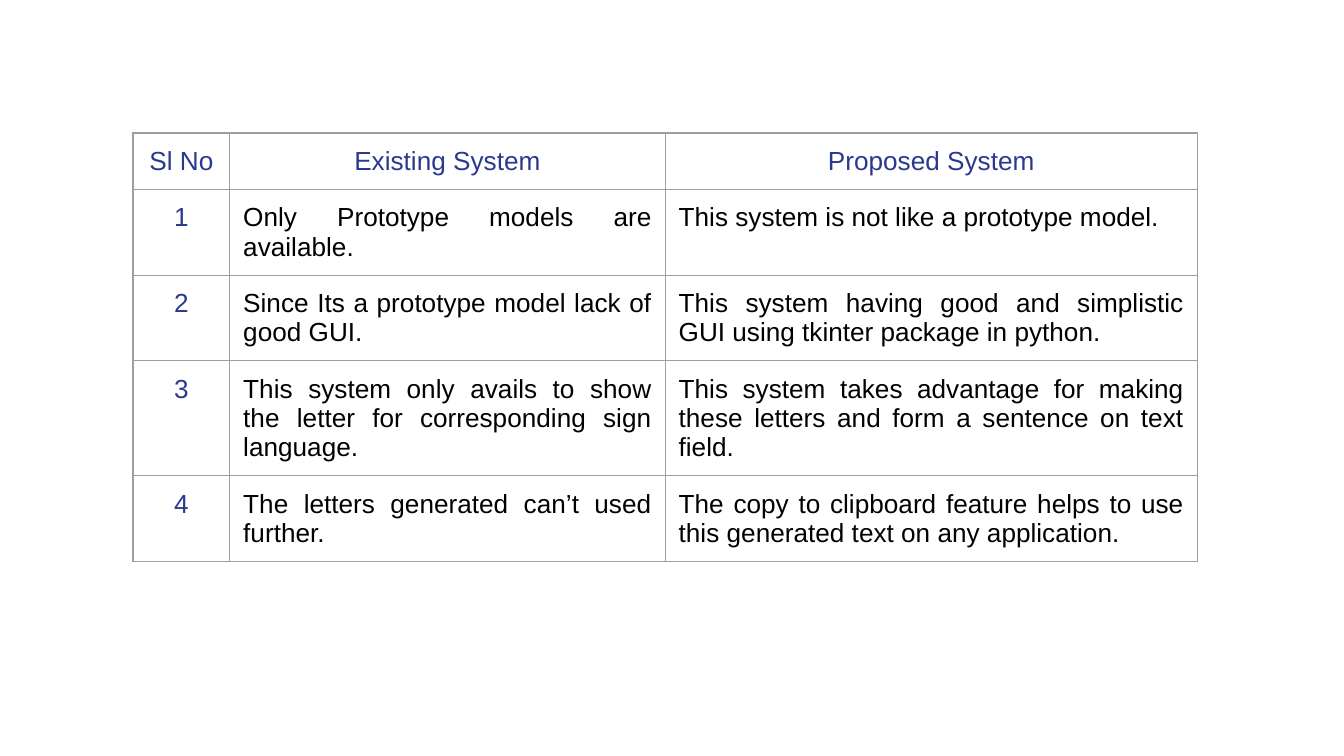
from dataclasses import dataclass

from lxml.etree import SubElement
from pptx import Presentation
from pptx.dml.color import RGBColor
from pptx.enum.text import PP_ALIGN
from pptx.oxml.ns import qn
from pptx.util import Inches, Pt


@dataclass(frozen=True)
class Theme:
    font: str = "Arial"
    size: int = 14
    accent: str = "2A3990"
    body: str = "000000"
    border: str = "9E9E9E"
    border_width: float = 0.75
    padding: float = 0.1


THEME = Theme()
SLIDE_WIDTH = 10
SLIDE_HEIGHT = SLIDE_WIDTH * 9 / 16  # widescreen
COLUMN_WIDTHS = [0.72, 3.24, 3.96]
ROW_HEIGHT = 0.42

HEADER = ("Sl No", "Existing System", "Proposed System")
COMPARISONS = [
    ("Only Prototype models are available.",
     "This system is not like a prototype model."),
    ("Since Its a prototype model lack of good GUI.",
     "This system having good and simplistic GUI using tkinter package in python."),
    ("This system only avails to show the letter for corresponding sign language.",
     "This system takes advantage for making these letters and form a sentence on text field."),
    ("The letters generated can’t used further.",
     "The copy to clipboard feature helps to use this generated text on any application."),
]


def set_borders(cell):
    """Draw a thin line on all four sides; lines must come before the fill."""
    properties = cell._tc.get_or_add_tcPr()
    for index, side in enumerate(("lnL", "lnR", "lnT", "lnB")):
        line = SubElement(properties, qn(f"a:{side}"), w=str(Pt(THEME.border_width)))
        fill = SubElement(line, qn("a:solidFill"))
        SubElement(fill, qn("a:srgbClr"), val=THEME.border)
        properties.insert(index, line)


def format_cell(cell, text, color, alignment):
    for side in ("left", "right", "top", "bottom"):
        setattr(cell, f"margin_{side}", Inches(THEME.padding))
    cell.fill.background()
    set_borders(cell)

    cell.text = text
    paragraph = cell.text_frame.paragraphs[0]
    paragraph.alignment = alignment
    font = paragraph.runs[0].font
    font_format = {"name": THEME.font, "size": Pt(THEME.size), "bold": False}
    for name, value in font_format.items():
        setattr(font, name, value)
    font.color.rgb = RGBColor.from_string(color)


def add_comparison_table(slide, left, top):
    rows = [HEADER] + [(str(number), *pair) for number, pair in enumerate(COMPARISONS, 1)]
    frame = slide.shapes.add_table(
        len(rows), len(COLUMN_WIDTHS), Inches(left), Inches(top),
        Inches(sum(COLUMN_WIDTHS)), Inches(ROW_HEIGHT * len(rows)))
    table = frame.table
    table.first_row = table.horz_banding = False

    for column, width in zip(table.columns, COLUMN_WIDTHS):
        column.width = Inches(width)
    for row_index, row in enumerate(rows):
        table.rows[row_index].height = Inches(ROW_HEIGHT)
        for column_index, text in enumerate(row):
            # The header row and the number column share the accent style
            is_label = row_index == 0 or column_index == 0
            format_cell(table.cell(row_index, column_index), text,
                        THEME.accent if is_label else THEME.body,
                        PP_ALIGN.CENTER if is_label else PP_ALIGN.JUSTIFY)


def main():
    presentation = Presentation()
    presentation.slide_width = Inches(SLIDE_WIDTH)
    presentation.slide_height = Inches(SLIDE_HEIGHT)
    slide = presentation.slides.add_slide(presentation.slide_layouts[6])
    add_comparison_table(slide, left=0.99, top=0.99)
    presentation.save("out.pptx")


if __name__ == "__main__":
    main()
